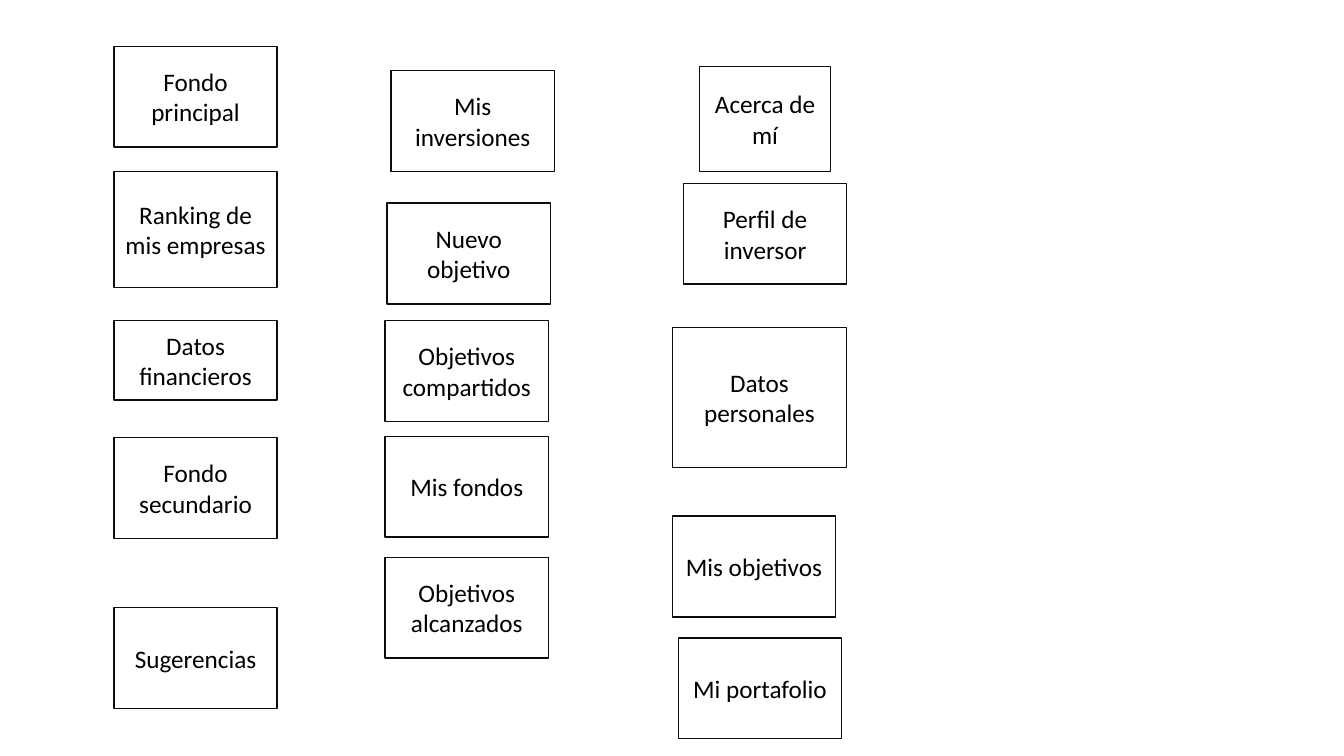
"""Build a slide with three columns of labelled app sections."""
from dataclasses import dataclass

from pptx import Presentation
from pptx.dml.color import RGBColor
from pptx.enum.shapes import MSO_SHAPE as Shape
from pptx.enum.text import MSO_ANCHOR as Anchor, PP_ALIGN as Align
from pptx.slide import Slide
from pptx.util import Pt


@dataclass(frozen=True)
class Box:
    label: str
    left: float
    top: float
    width: float = 116.64
    height: float = 72


FUND_LEFT = 81.36
GOAL_LEFT = 275.04
PROFILE_LEFT = 480.24

FUND_BOXES = [
    Box("Fondo principal", FUND_LEFT, 33.12),
    Box("Ranking de mis empresas", FUND_LEFT, 122.4, height=82.8),
    Box("Datos financieros", FUND_LEFT, 228.96, height=56.88),
    Box("Fondo secundario", FUND_LEFT, 312.48),
    Box("Sugerencias", FUND_LEFT, 434.16),
]
GOAL_BOXES = [
    Box("Mis inversiones", 279.36, 50.4),
    Box("Nuevo objetivo", 276.48, 145.08),
    Box("Objetivos compartidos", GOAL_LEFT, 228.96),
    Box("Mis fondos", GOAL_LEFT, 311.76),
    Box("Objetivos alcanzados", GOAL_LEFT, 398.16),
]
PROFILE_BOXES = [
    Box("Acerca de mí", 499.68, 47.52, 93.6, 74.88),
    Box("Perfil de inversor", 488.16, 131.04),
    Box("Datos personales", PROFILE_LEFT, 234, 124.56, 100.08),
    Box("Mis objetivos", PROFILE_LEFT, 368.64),
    Box("Mi portafolio", 484.56, 455.76),
]


def color(value: str) -> RGBColor:
    return RGBColor.from_string(value)


def apply_format(target: object, values: dict) -> None:
    for name, value in values.items():
        setattr(target, name, value)


def draw_box(slide: Slide, box: Box) -> None:
    shape = slide.shapes.add_shape(
        Shape.RECTANGLE, Pt(box.left), Pt(box.top), Pt(box.width), Pt(box.height)
    )
    shape.shadow.inherit = False
    shape.fill.background()
    shape.line.color.rgb = color("0D0D0D")
    shape.line.width = Pt(1)
    apply_format(shape.text_frame, {"word_wrap": True, "vertical_anchor": Anchor.MIDDLE})
    paragraph = shape.text_frame.paragraphs[0]
    apply_format(paragraph, {"text": box.label, "alignment": Align.CENTER})
    apply_format(paragraph.runs[0].font, {"name": "Calibri", "size": Pt(18)})
    paragraph.runs[0].font.color.rgb = color("000000")


def main() -> None:
    presentation = Presentation()
    apply_format(presentation, {"slide_width": Pt(960), "slide_height": Pt(540)})
    slide = presentation.slides.add_slide(presentation.slide_layouts[6])
    for box in FUND_BOXES + GOAL_BOXES + PROFILE_BOXES:
        draw_box(slide, box)
    presentation.save("out.pptx")


if __name__ == "__main__":
    main()
